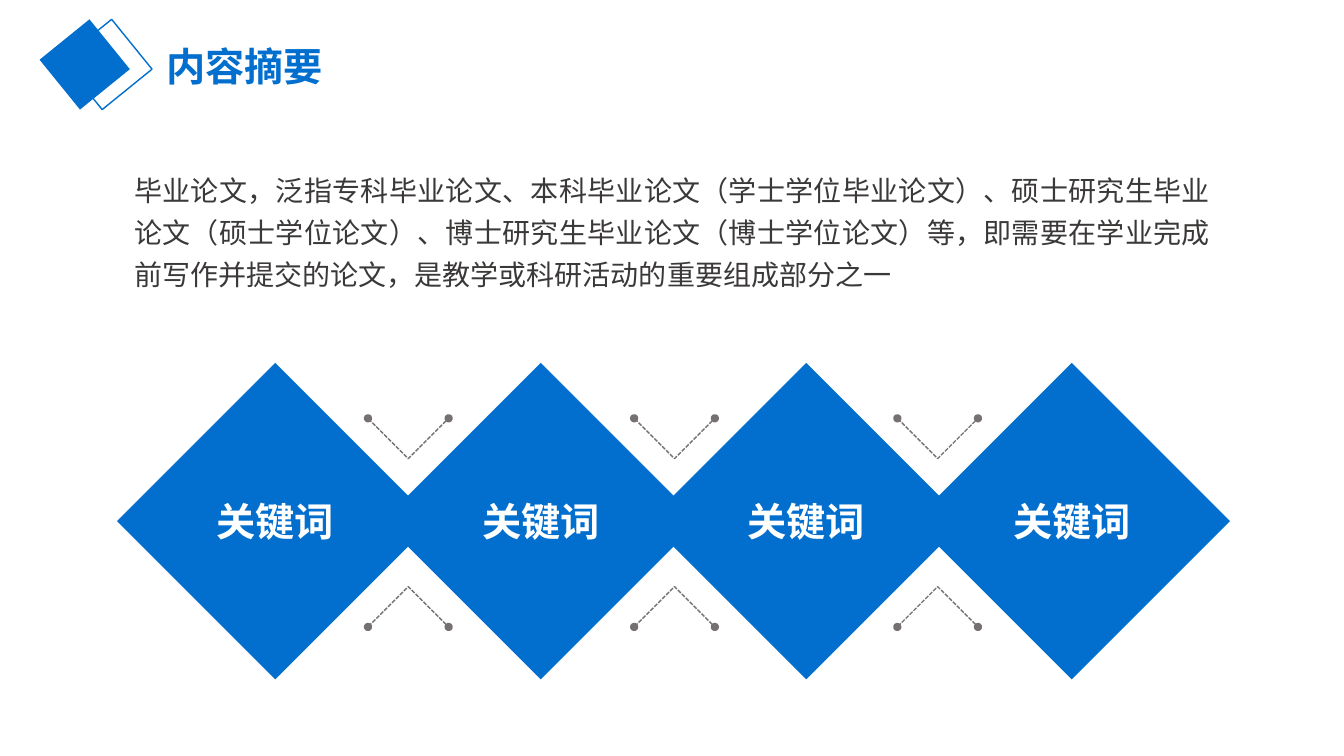
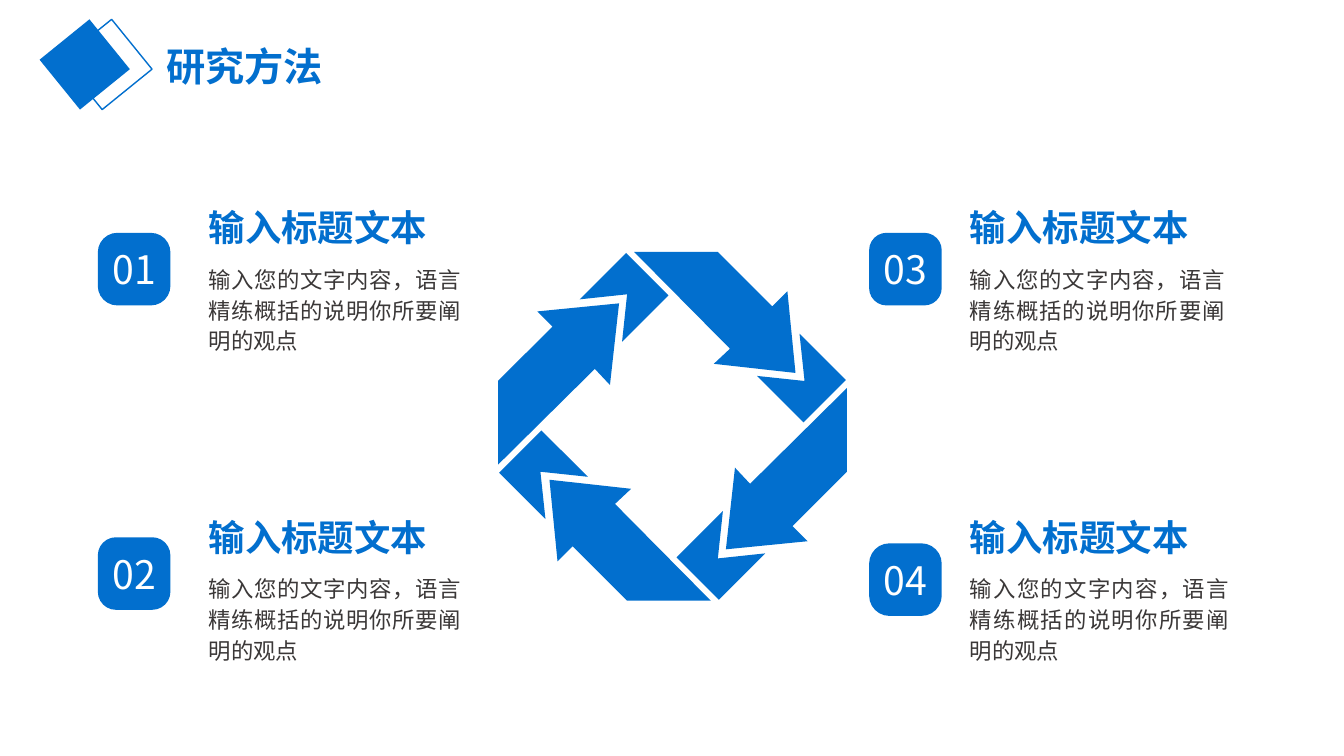
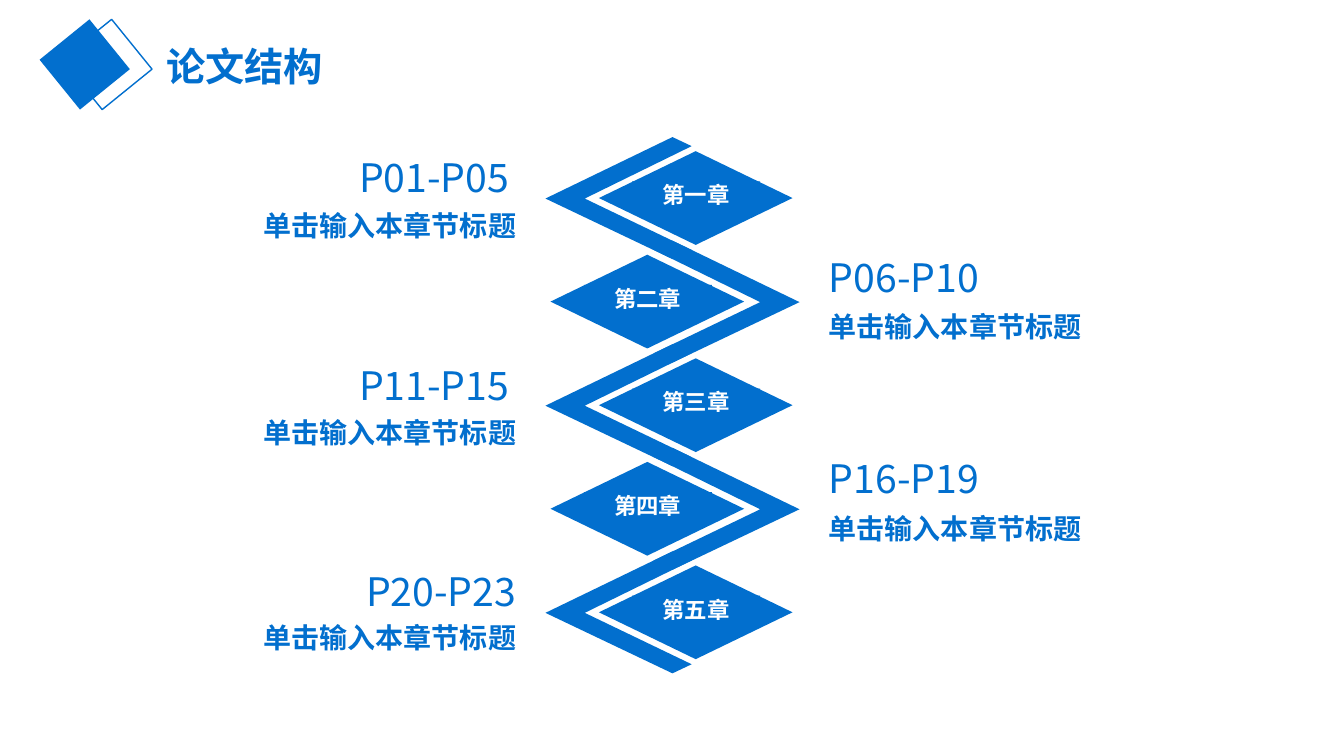
from dataclasses import dataclass

from lxml import etree
from pptx import Presentation
from pptx import util as u
from pptx.dml.color import RGBColor
from pptx.enum import dml, shapes, text
from pptx.oxml import ns

Inches, Pt = u.Inches, u.Pt
Kind, Align, Anchor = shapes.MSO_SHAPE, text.PP_ALIGN, text.MSO_ANCHOR


@dataclass(frozen=True)
class Theme:
    font: str = "Noto Sans CJK SC"
    blue: str = "026FCE"
    white: str = "FFFFFF"
    dark: str = "3B3838"
    gray: str = "767171"
    big: int = 28
    head: int = 26
    mid: int = 20
    small: int = 16


T = Theme()


def write(shape, words, size=T.small, color=T.dark, bold=False,
          align=Align.LEFT, anchor=Anchor.TOP, lead=None, inset=(0, 0, 0, 0)):
    """Put one formatted paragraph into a shape."""
    frame = shape.text_frame
    frame.word_wrap = True
    frame.auto_size = text.MSO_AUTO_SIZE.NONE
    frame.vertical_anchor = anchor
    (frame.margin_left, frame.margin_top,
     frame.margin_right, frame.margin_bottom) = map(Inches, inset)
    para = frame.paragraphs[0]
    para.alignment = align
    para.space_before = Pt(0)
    if lead:
        para.line_spacing = lead
    run = para.add_run()
    run.text = words
    font = run.font
    font.name, font.size, font.bold = T.font, Pt(size), bold
    font.color.rgb = RGBColor.from_string(color)
    east = etree.SubElement(run._r.get_or_add_rPr(), ns.qn("a:ea"))
    east.set("typeface", T.font)


class Deck:
    def __init__(self):
        self.prs = Presentation()
        self.prs.slide_width = Inches(13.33)
        self.prs.slide_height = Inches(7.5)
        self.slide = None

    def page(self, title):
        """Start a slide with the corner mark and its title."""
        self.slide = self.prs.slides.add_slide(self.prs.slide_layouts[5])
        for x, fill, line in ((0.61, None, T.blue), (0.39, T.blue, None)):
            mark = self.shape(Kind.DIAMOND, x, 0.19, 0.9, 0.9, fill, line)
            mark.rotation = 96
        head = self.slide.shapes.title
        head.left, head.top = Inches(1.55), Inches(0.42)
        head.width, head.height = Inches(4.94), Inches(0.68)
        write(head, title, size=T.big, color=T.blue, bold=True, lead=0.9,
              inset=(0.1, 0.05, 0.1, 0.05))

    def paint(self, shape, fill=T.blue, line=None):
        shape.shadow.inherit = False
        if fill:
            shape.fill.solid()
            shape.fill.fore_color.rgb = RGBColor.from_string(fill)
        else:
            shape.fill.background()
        if line:
            shape.line.color.rgb = RGBColor.from_string(line)
            shape.line.width = Pt(1)
        else:
            shape.line.fill.background()
        return shape

    def shape(self, kind, x, y, w, h, fill=T.blue, line=None):
        item = self.slide.shapes.add_shape(
            kind, Inches(x), Inches(y), Inches(w), Inches(h))
        return self.paint(item, fill, line)

    def label(self, words, x, y, w, h, **look):
        box = self.slide.shapes.add_textbox(
            Inches(x), Inches(y), Inches(w), Inches(h))
        write(box, words, **look)

    def plate(self, words, x, y, w, h, size):
        """Write bold white text on a blue strip."""
        write(self.shape(Kind.RECTANGLE, x, y, w, h), words, size=size,
              color=T.white, bold=True, align=Align.CENTER)

    def outline(self, pts, fill=T.blue, line=None):
        """Draw a filled polygon, or an open path when fill is None."""
        pts = [(Inches(x), Inches(y)) for x, y in pts]
        pen = self.slide.shapes.build_freeform(*pts[0])
        pen.add_line_segments(pts[1:], close=fill is not None)
        return self.paint(pen.convert_to_shape(), fill, line)

    def hook(self, x, y, rise):
        """Draw a dashed corner with a dot at either end."""
        pts = [(x + 0.4, y + rise), (x, y), (x - 0.4, y + rise)]
        item = self.outline(pts, fill=None, line=T.gray)
        item.line.dash_style = dml.MSO_LINE.SQUARE_DOT
        pen = item.line._get_or_add_ln()
        for end in ("a:headEnd", "a:tailEnd"):
            etree.SubElement(pen, ns.qn(end)).set("type", "oval")


def summary(deck):
    deck.page("内容摘要")
    deck.label("毕业论文，泛指专科毕业论文、本科毕业论文（学士学位毕业论文）、"
               "硕士研究生毕业论文（硕士学位论文）、博士研究生毕业论文（博士学位论文）等，"
               "即需要在学业完成前写作并提交的论文，是教学或科研活动的重要组成部分之一",
               1.33, 1.64, 10.67, 1.26, size=T.mid, align=Align.JUSTIFY,
               lead=Pt(30))
    # Keyword diamonds: squares on their corners
    side, step, first, mid = 2.22, 7.9 / 3, 2.73, 5.17
    spots = [first + i * step for i in range(4)]
    for x in spots:
        gem = deck.shape(Kind.RECTANGLE, x - side / 2, mid - side / 2,
                         side, side)
        gem.rotation = 45
    for x in spots:
        deck.plate("关键词", x - 0.77, 4.93, 1.54, 0.47, T.big)
    # Dashed corners between them
    for x in (4.05, 6.69, 9.3):
        deck.hook(x, 4.55, -0.4)
        deck.hook(x, 5.82, 0.4)


def methods(deck):
    deck.page("研究方法")
    # Numbered points: number, corner, badge x and y, text x and y, body width
    for num, bend, bx, by, x, y, w in (
            ("01", 0.27, 0.97, 2.31, 2.07, 2.04, 2.51),
            ("02", 0.25, 0.97, 5.33, 2.07, 5.11, 2.51),
            ("03", 0.24, 8.62, 2.31, 9.62, 2.04, 2.53),
            ("04", 0.28, 8.62, 5.39, 9.62, 5.11, 2.57)):
        badge = deck.shape(Kind.ROUNDED_RECTANGLE, bx, by, 0.72, 0.72)
        badge.adjustments[0] = bend
        write(badge, num, size=T.big, color=T.white, align=Align.CENTER,
              anchor=Anchor.MIDDLE)
        deck.label("输入标题文本", x, y, 2.46, 0.44, size=T.head,
                   color=T.blue, bold=True)
        deck.label("输入您的文字内容，语言精练概括的说明你所要阐明的观点",
                   x, y + 0.56, w, 0.93, align=Align.JUSTIFY, lead=Pt(22))
    # Cycle: one arrow and one tail, each turned by quarters about the centre
    cx, cy = 6.67, 4.23
    arrow = [(1.14, -1.34), (1.22, -0.53), (0.41, -0.62), (0.57, -0.77),
             (-0.38, -1.73), (0.45, -1.73), (0.99, -1.19)]
    tail = [(1.26, -0.92), (1.72, -0.46), (1.3, -0.04), (0.84, -0.5),
            (1.31, -0.45)]
    for _ in range(4):
        for part in (arrow, tail):
            deck.outline([(cx + x, cy + y) for x, y in part])
        arrow, tail = ([(-y, x) for x, y in part] for part in (arrow, tail))


def chapters(deck):
    deck.page("论文结构")
    axis, top, step = 6.67, 1.36, 4.11 / 4
    band = [(0, 0), (0.19, 0.09), (-0.87, 0.61), (0.19, 1.12), (0, 1.21),
            (-1.26, 0.61)]
    # Chapter, pages, tops of the page label and heading, right-hand gap
    rows = (("第一章", "P01-P05", 1.52, 2.07, 0.07),
            ("第二章", "P06-P10", 2.51, 3.07, 0),
            ("第三章", "P11-P15", 3.58, 4.12, 0.07),
            ("第四章", "P16-P19", 4.51, 5.07, 0),
            ("第五章", "P20-P23", 5.63, 6.16, 0))
    for i, (name, pages, y, under, gap) in enumerate(rows):
        odd = i % 2
        sign = -1 if odd else 1
        base = top + i * step
        # Zigzag band and its diamond
        deck.outline([(axis + sign * dx, base + dy) for dx, dy in band])
        mid = 6.42 if odd else 6.9
        deck.shape(Kind.FLOWCHART_DECISION, mid - 0.96, base + 0.14,
                   1.92, 0.93)
        deck.plate(name, mid - 0.63, base + 0.44, 1.27, 0.27, T.small)
        # Page range and heading beside it
        x, w, side = (8.22, 3.15, Align.LEFT) if odd else (
            2.21, 2.91, Align.RIGHT)
        deck.label(pages, x, y, w, 0.47, size=T.big, color=T.blue,
                   align=side, inset=(0, 0, gap, 0))
        deck.label("单击输入本章节标题", x, under, w, 0.34, size=T.mid,
                   color=T.blue, bold=True, align=side)


def main():
    deck = Deck()
    for build in (summary, methods, chapters):
        build(deck)
    deck.prs.save("out.pptx")


if __name__ == "__main__":
    main()
